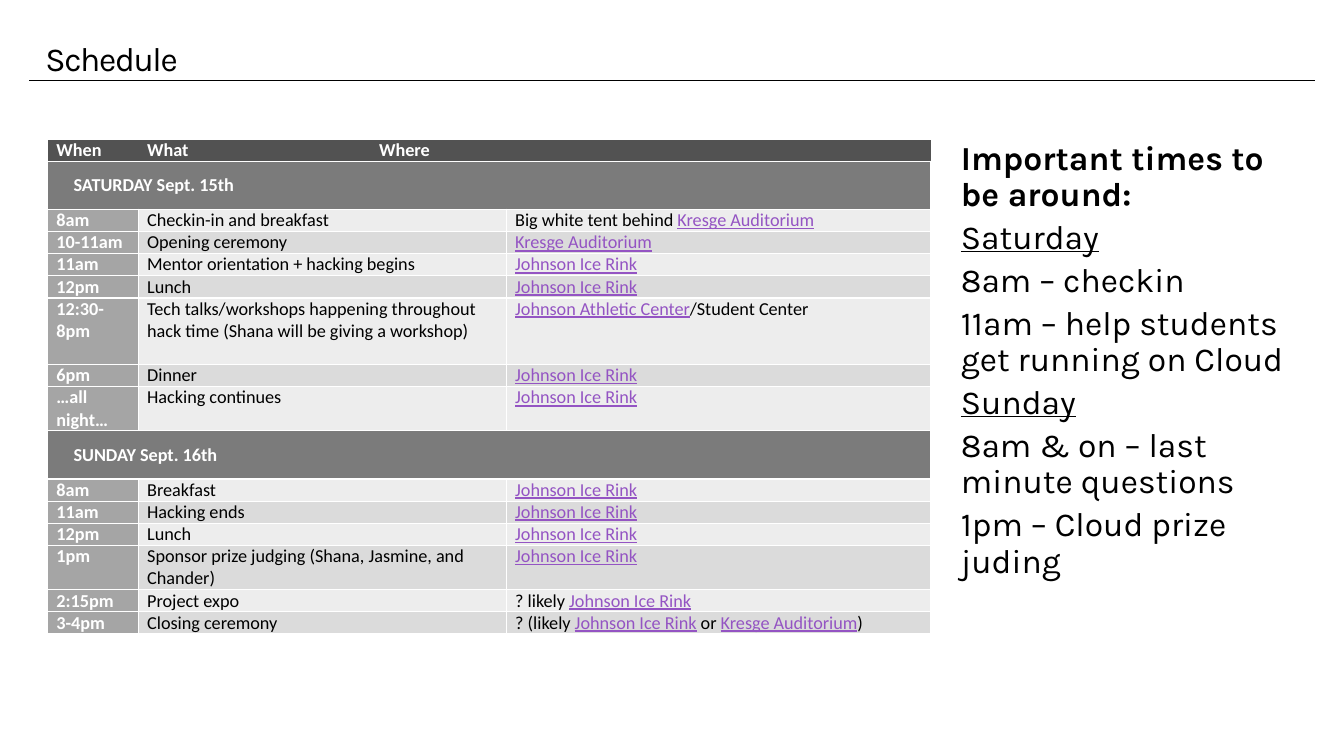
import pptx
import pptx.util
import pptx.dml.color
import pptx.enum.shapes
import pptx.enum.text
import pptx.oxml.ns
from lxml import etree
from pptx.util import Inches

RGBColor = pptx.dml.color.RGBColor
BLACK = RGBColor(0x00, 0x00, 0x00)
WHITE = RGBColor(0xFF, 0xFF, 0xFF)
HEADER_GRAY = RGBColor(0x52, 0x52, 0x52)
DAY_GRAY = RGBColor(0x7B, 0x7B, 0x7B)
TIME_GRAY = RGBColor(0xA5, 0xA5, 0xA5)
STRIPES = (RGBColor(0xED, 0xED, 0xED), RGBColor(0xDB, 0xDB, 0xDB))
LINK_PURPLE = RGBColor(0x94, 0x54, 0xC3)

COLUMN_WIDTHS = (0.9, 2.3, 1.35, 4.21)
LINE_HEIGHT = 0.22
DAY_HEIGHT = 0.47
RINK = "[Johnson Ice Rink]"
DAYS = (
    ("SATURDAY Sept. 15th", (
        ("8am", "Checkin-in and breakfast", "Big white tent behind [Kresge Auditorium]", 1),
        ("10-11am", "Opening ceremony", "[Kresge Auditorium]", 1),
        ("11am", "Mentor orientation + hacking begins", RINK, 1),
        ("12pm", "Lunch", RINK, 1),
        ("12:30-8pm", "Tech talks/workshops happening throughout hack time "
         "(Shana will be giving a workshop)", "[Johnson Athletic Center]/Student Center", 3),
        ("6pm", "Dinner", RINK, 1),
        ("…all night…", "Hacking continues", RINK, 2),
    )),
    ("SUNDAY Sept. 16th", (
        ("8am", "Breakfast", RINK, 1),
        ("11am", "Hacking ends", RINK, 1),
        ("12pm", "Lunch", RINK, 1),
        ("1pm", "Sponsor prize judging (Shana, Jasmine, and Chander)", RINK, 2),
        ("2:15pm", "Project expo", "? likely " + RINK, 1),
        ("3-4pm", "Closing ceremony", "? (likely " + RINK + " or [Kresge Auditorium])", 1),
    )),
)
IMPORTANT_TIMES = (
    "Important times to be around:",
    "Saturday",
    "8am – checkin",
    "11am – help students get running on Cloud",
    "Sunday",
    "8am & on – last minute questions",
    "1pm – Cloud prize juding",
)


def style_span(span, font, size, color, bold=False, underline=False):
    span.font.name = font
    span.font.size = pptx.util.Pt(size)
    span.font.color.rgb = color
    span.font.bold = bold
    span.font.underline = underline


def place_text(box, left, top, width, height):
    box.left, box.top = Inches(left), Inches(top)
    box.width, box.height = Inches(width), Inches(height)
    frame = box.text_frame
    frame.margin_left = frame.margin_right = Inches(0.16)
    frame.margin_top = frame.margin_bottom = Inches(0.1)
    frame.vertical_anchor = pptx.enum.text.MSO_ANCHOR.TOP
    frame.word_wrap = True
    frame.auto_size = pptx.enum.text.MSO_AUTO_SIZE.NONE
    for para in frame.paragraphs:
        para.alignment = pptx.enum.text.PP_ALIGN.LEFT
        para.line_spacing = 0.9


def add_title(page):
    title = page.shapes.title
    title.text_frame.text = "Schedule"
    place_text(title, 0.29, 0.32, 12.75, 0.46)
    span = title.text_frame.paragraphs[0].runs[0]
    style_span(span, "Karla", 24, BLACK)
    span.font._element.set("spc", "-100")


def add_important_times(page):
    body = page.placeholders[1]
    body.text_frame.text = "\n".join(IMPORTANT_TIMES)
    place_text(body, 9.37, 1.3, 3.67, 4.69)
    body.text_frame.auto_size = pptx.enum.text.MSO_AUTO_SIZE.SHAPE_TO_FIT_TEXT
    for index, para in enumerate(body.text_frame.paragraphs):
        properties = para._p.get_or_add_pPr()
        properties.set("marL", "0")
        properties.set("indent", "0")
        etree.SubElement(properties, pptx.oxml.ns.qn("a:buNone"))
        style_span(para.runs[0], "Karla", 24, BLACK, bold=index == 0,
                   underline=para.text in ("Saturday", "Sunday"))


def add_rule(page):
    rule = page.shapes.add_connector(pptx.enum.shapes.MSO_CONNECTOR.STRAIGHT,
                                     Inches(0.29), Inches(0.8), Inches(13.04), Inches(0.8))
    rule.line.color.rgb = BLACK
    rule.line.width = pptx.util.Pt(0.75)
    etree.SubElement(rule._element.spPr, pptx.oxml.ns.qn("a:effectLst"))


def set_borders(cell, sides):
    properties = cell._tc.get_or_add_tcPr()
    for position, side in enumerate(("L", "R", "T", "B")):
        border = etree.Element(pptx.oxml.ns.qn("a:ln" + side), w="12700")
        if side in sides:
            fill = etree.SubElement(border, pptx.oxml.ns.qn("a:solidFill"))
            etree.SubElement(fill, pptx.oxml.ns.qn("a:srgbClr"), val=str(WHITE))
        else:
            etree.SubElement(border, pptx.oxml.ns.qn("a:noFill"))
        properties.insert(position, border)


def fill_cell(cell, text, fill, color, bold=False, margins=(0.09, 0)):
    cell.margin_left = cell.margin_right = Inches(margins[0])
    cell.margin_top = cell.margin_bottom = Inches(margins[1])
    cell.fill.solid()
    cell.fill.fore_color.rgb = fill
    para = cell.text_frame.paragraphs[0]
    for index, part in enumerate(text.replace("]", "[").split("[")):
        if part:
            span = para.add_run()
            span.text = part
            is_link = index % 2 == 1
            style_span(span, "Calibri", 13, LINK_PURPLE if is_link else color, bold, is_link)


def add_schedule(page):
    row_count = 1 + sum(1 + len(events) for _, events in DAYS)
    table = page.shapes.add_table(row_count, len(COLUMN_WIDTHS), Inches(0.47), Inches(1.38),
                                  Inches(sum(COLUMN_WIDTHS)), Inches(4.96)).table
    for column, width in zip(table.columns, COLUMN_WIDTHS):
        column.width = Inches(width)
    for cell in table.iter_cells():
        set_borders(cell, "LRTB")
    for index, heading in enumerate(("When", "What", "Where", "")):
        cell = table.cell(0, index)
        fill_cell(cell, heading, HEADER_GRAY, WHITE, True)
        for border in list(cell._tc.tcPr)[:4]:
            cell._tc.tcPr.remove(border)
        set_borders(cell, "LTB" if index == 0 else "TB")
    table.cell(0, 2).merge(table.cell(0, 3))
    table.rows[0].height = Inches(LINE_HEIGHT)

    row = 1
    for day, events in DAYS:
        table.rows[row].height = Inches(DAY_HEIGHT)
        table.cell(row, 0).merge(table.cell(row, 3))
        fill_cell(table.cell(row, 0), day, DAY_GRAY, WHITE, True, (0.26, 0.13))
        for index, (when, what, where, lines) in enumerate(events):
            row += 1
            stripe = STRIPES[index % 2]
            table.rows[row].height = Inches(LINE_HEIGHT * lines)
            table.cell(row, 1).merge(table.cell(row, 2))
            fill_cell(table.cell(row, 0), when, TIME_GRAY, WHITE, True)
            fill_cell(table.cell(row, 1), what, stripe, BLACK)
            fill_cell(table.cell(row, 3), where, stripe, BLACK)
        row += 1


def main():
    deck = pptx.Presentation()
    deck.slide_width, deck.slide_height = Inches(13.33), Inches(7.5)
    page = deck.slides.add_slide(deck.slide_layouts[1])
    add_rule(page)
    add_title(page)
    add_important_times(page)
    add_schedule(page)
    deck.save("out.pptx")


main()
